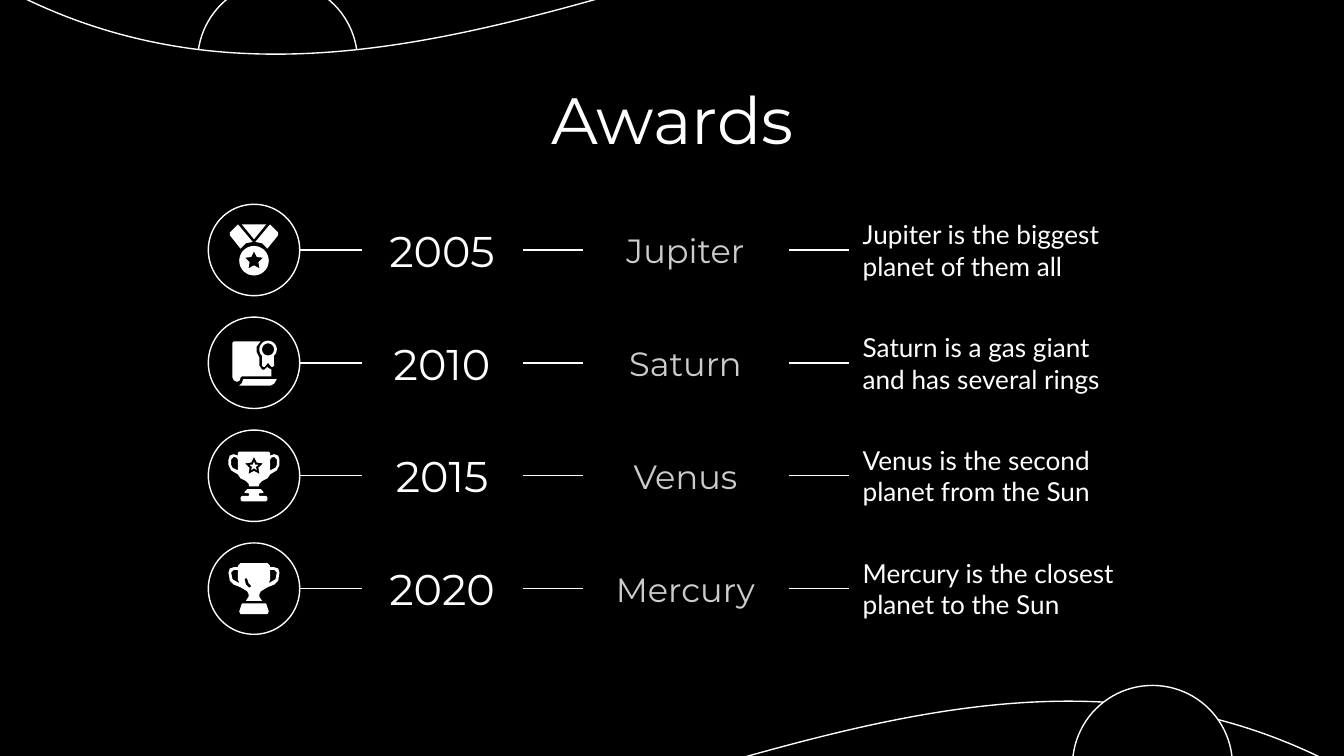
import math

import pptx
import pptx.dml.color
import pptx.enum.shapes
import pptx.enum.text
import pptx.oxml
import pptx.oxml.ns
import pptx.util

Inches = pptx.util.Inches
SHAPE = pptx.enum.shapes.MSO_SHAPE
ALIGN = pptx.enum.text.PP_ALIGN
ANCHOR = pptx.enum.text.MSO_ANCHOR

BLACK, WHITE, GRAY = "000000", "FFFFFF", "CCCCCC"
WIDTH = Inches(10)
HEIGHT = WIDTH * 9 // 16
TOP, STEP = 1.86, 0.84
MID, SIZE = 1.89, 0.68
LINKS = [(2.23, 2.69), (3.89, 4.34), (5.87, 6.32)]
ROWS = [
    ("2005", "Jupiter", "Jupiter is the biggest planet of them all"),
    ("2010", "Saturn", "Saturn is a gas giant and has several rings"),
    ("2015", "Venus", "Venus is the second planet from the Sun"),
    ("2020", "Mercury", "Mercury is the closest planet to the Sun"),
]
# left, width, height, text style
COLS = [
    (2.69, 1.2, 0.39, dict(size=23, face="Montserrat", color=WHITE, align=ALIGN.CENTER)),
    (4.34, 1.52, 0.39, dict(size=18, face="Montserrat", color=GRAY, align=ALIGN.CENTER)),
    (6.32, 2.12, 0.58, dict(size=14, face="Lato", color=WHITE, align=ALIGN.LEFT)),
]


def paint(color):
    return pptx.dml.color.RGBColor.from_string(color)


def assign(target, values):
    for name, value in values.items():
        setattr(target, name, value)


def stroke(item):
    item.line.color.rgb = paint(WHITE)
    item.line.width = pptx.util.Pt(0.75)


def add_text(slide, box, text, size, face, color, align, anchor=ANCHOR.MIDDLE):
    frame = slide.shapes.add_textbox(*map(Inches, box)).text_frame
    pad = Inches(0.1)
    assign(frame, dict(word_wrap=True, vertical_anchor=anchor, margin_left=pad,
                       margin_right=pad, margin_top=pad, margin_bottom=pad))
    line = frame.paragraphs[0]
    line.alignment = align
    run = line.add_run()
    run.text = text
    assign(run.font, dict(size=pptx.util.Pt(size), name=face))
    run.font.color.rgb = paint(color)


def add_form(slide, kind, box):
    form = slide.shapes.add_shape(kind, *map(Inches, box))
    form.shadow.inherit = False
    form.fill.solid()
    form.fill.fore_color.rgb = paint(BLACK)
    stroke(form)
    return form


def add_link(slide, start, end, y):
    kind = pptx.enum.shapes.MSO_CONNECTOR.STRAIGHT
    link = slide.shapes.add_connector(kind, *map(Inches, (start, y, end, y)))
    stroke(link)
    props = link._element.spPr
    props.append(pptx.oxml.parse_xml(
        "<a:effectLst %s/>" % pptx.oxml.ns.nsdecls("a")))


def flip(points):
    return [(-x, y) for x, y in points]


def whole(half):
    """Close a right half with its mirror image."""
    return half + flip(half)[::-1]


def arc(x, y, radius, start=0, end=360, count=36):
    turns = [math.radians(start + (end - start) * i / count) for i in range(count + 1)]
    return [(x + radius * math.cos(t), y + radius * math.sin(t)) for t in turns]


def star(y, outer, inner):
    turns = [math.radians(36 * i - 90) for i in range(10)]
    sizes = [outer, inner] * 5
    return [(r * math.cos(t), y + r * math.sin(t)) for r, t in zip(sizes, turns)]


def medal():
    band = [(12, -19), (11, -18), (1, -6), (6, -5), (10, -1), (18, -11),
            (18, -13), (13, -18)]
    return [[arc(0, 8, 11), star(8, 7, 3.5)], [band],
            [[(-9, -19), (0, -8), (9, -19)]], [flip(band)]]


def scroll():
    seal = arc(10.5, -10, 6.5, 48, -228) + [
        (6, 2), (7, 3), (8, 3), (10.5, 0), (13, 3), (14, 3), (15, 2)]
    roll = [(-8, 12), (-9, 15), (-11, 17), (12, 17), (15, 15.5), (17, 12)]
    sheet = [(-15, -16), (-16, -15), (-16, 11), (-15, 13), (-13, 14), (-12, 14),
             (-10.5, 13), (-10, 11), (-9, 10), (13, 10), (13, 5), (11, 4),
             (10, 3), (8, 5), (6, 5), (4, 2), (4, -4), (2, -8), (2, -12), (5, -16)]
    return [[seal, arc(10.5, -10, 4.5)], [roll], [sheet]]


def prize():
    bowl = [(11, -18), (12, -17), (12, -15), (15, -16), (18, -15), (19, -12),
            (19, -8), (17, -4), (12, -1), (10, 2), (6, 4), (4, 6), (3.5, 8)]
    grip = [(15, -14), (17, -12), (17, -8), (16, -6), (12, -4), (12, -12), (13, -13.5)]
    foot = [(5, 10), (7, 12), (7, 13), (4, 13), (3.5, 14), (4, 15), (9, 15),
            (10, 16), (10, 18), (9, 19)]
    return [[whole(bowl), grip, flip(grip), star(-7, 7, 3.5)],
            [whole(foot)], [star(-7, 3.5, 1.5)]]


def cup():
    bowl = [(10, -19), (12, -17), (12, -16), (15, -16), (18, -15), (19, -12),
            (18, -6), (15, -3), (10, -1), (5, 2), (4, 4), (4, 6), (6, 9)]
    grip = [(12, -14), (15, -14), (17, -12), (16, -7), (11, -4), (12, -7)]
    shine = [(-6, -8), (-5, -7), (-4, -4), (-2, -2), (-3, -1), (-4, -1), (-6, -3), (-7, -7)]
    return [[whole(bowl), grip, flip(grip), shine], [whole([(9, 11), (11, 17), (10, 19)])]]


def add_icon(slide, parts, y):
    """Draw parts given in hundredths of an inch around the icon centre."""
    group = slide.shapes.add_group_shape()
    for loops in parts:
        pen = None
        for loop in loops:
            spots = [(round(10 * a), round(10 * b)) for a, b in loop]
            if pen is None:
                pen = group.shapes.build_freeform(*spots[0], scale=Inches(0.001))
            else:
                pen.move_to(*spots[0])
            pen.add_line_segments(spots[1:], close=True)
        form = pen.convert_to_shape(Inches(MID), Inches(y))
        form.shadow.inherit = False
        form.fill.solid()
        form.fill.fore_color.rgb = paint(WHITE)
        form.line.fill.background()


def add_scene(slide):
    """Draw the planets and the wave behind the content."""
    add_form(slide, SHAPE.OVAL, (1.47, -0.14, 1.19, 1.19))
    wave = add_form(slide, SHAPE.WAVE, (-0.11, -0.76, 10.22, 7.14))
    wave.adjustments[0] = 0.083
    wave.adjustments[1] = 0
    wave.rotation = 180
    wave._element.spPr.xfrm.set("flipH", "1")
    add_form(slide, SHAPE.OVAL, (7.98, 5.1, 1.19, 1.19))


def add_row(slide, row, icon, y):
    for text, (left, width, height, style) in zip(row, COLS):
        add_text(slide, (left, y - height / 2, width, height), text, **style)
    add_form(slide, SHAPE.OVAL, (MID - SIZE / 2, y - SIZE / 2, SIZE, SIZE))
    for start, end in LINKS:
        add_link(slide, start, end, y)
    add_icon(slide, icon(), y)


def main():
    deck = pptx.Presentation()
    assign(deck, dict(slide_width=WIDTH, slide_height=HEIGHT))
    slide = deck.slides.add_slide(deck.slide_layouts[6])
    slide.background.fill.solid()
    slide.background.fill.fore_color.rgb = paint(BLACK)
    add_scene(slide)
    add_text(slide, (0.79, 0.49, 8.43, 0.63), "Awards", 35, "Montserrat",
             WHITE, ALIGN.CENTER, ANCHOR.TOP)
    for i, (row, icon) in enumerate(zip(ROWS, (medal, scroll, prize, cup))):
        add_row(slide, row, icon, TOP + i * STEP)
    deck.save("out.pptx")


if __name__ == "__main__":
    main()
